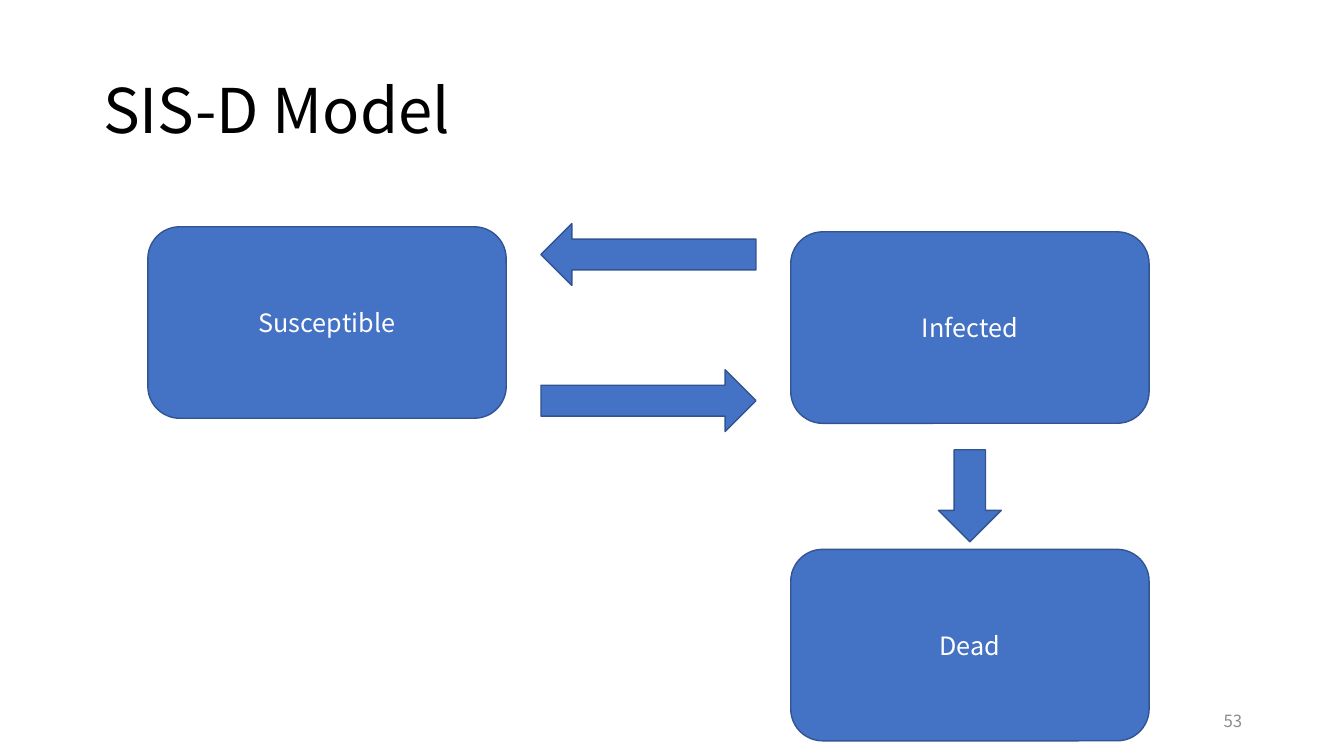
from dataclasses import dataclass

from pptx import Presentation
from pptx.dml.color import RGBColor
from pptx.enum.shapes import MSO_SHAPE
from pptx.enum.text import MSO_ANCHOR, PP_ALIGN
from pptx.util import Inches, Pt


@dataclass(frozen=True)
class Theme:
    font: str = "Noto Sans CJK JP"
    fill: RGBColor = RGBColor(0x44, 0x72, 0xC4)
    outline: RGBColor = RGBColor(0x32, 0x54, 0x91)
    title: RGBColor = RGBColor(0, 0, 0)
    label: RGBColor = RGBColor(0xFF, 0xFF, 0xFF)
    number: RGBColor = RGBColor(0x8C, 0x8C, 0x8C)
    title_size: int = 44
    label_size: int = 18
    number_size: int = 12
    outline_width: int = 1


@dataclass(frozen=True)
class Box:
    """An area measured in columns and rows of the slide grid."""
    left: float
    top: float
    width: float
    height: float

    @property
    def right(self):
        return self.left + self.width

    @property
    def bottom(self):
        return self.top + self.height

    @property
    def lengths(self):
        return (round(self.left * COLUMN), round(self.top * ROW),
                round(self.width * COLUMN), round(self.height * ROW))


THEME = Theme()
SLIDE_WIDTH, SLIDE_HEIGHT = Inches(13.33), Inches(7.5)
COLUMN, ROW = SLIDE_WIDTH / 12, SLIDE_HEIGHT / 12
STATE_WIDTH, STATE_HEIGHT = 3.2, 3.04


def write(shape, text, size, color, align):
    frame = shape.text_frame
    frame.text = text
    frame.word_wrap = True
    frame.vertical_anchor = MSO_ANCHOR.MIDDLE
    para = frame.paragraphs[0]
    para.alignment = align
    font = para.runs[0].font
    font.name, font.size, font.color.rgb = THEME.font, Pt(size), color
    return para


def add_block(page, preset, box):
    shape = page.shapes.add_shape(preset, *box.lengths)
    shape.shadow.inherit = False
    shape.fill.solid()
    shape.fill.fore_color.rgb = THEME.fill
    shape.line.color.rgb = THEME.outline
    shape.line.width = Pt(THEME.outline_width)
    return shape


def add_state(page, name, box):
    shape = add_block(page, MSO_SHAPE.ROUNDED_RECTANGLE, box)
    write(shape, name, THEME.label_size, THEME.label, PP_ALIGN.CENTER)


def add_title(page, text, box):
    title = page.shapes.title
    title.left, title.top, title.width, title.height = box.lengths
    para = write(title, text, THEME.title_size, THEME.title, PP_ALIGN.LEFT)
    para.line_spacing = 0.9


def add_page_number(page, number, box):
    shape = page.shapes.add_textbox(*box.lengths)
    write(shape, number, THEME.number_size, THEME.number, PP_ALIGN.RIGHT)


def add_exchange(page, source, target):
    """Draw the arrows there and back in the gap between two states."""
    gap, height = 0.31, 0.98
    left = source.right + gap
    width = target.left - gap - left
    for top, rotation in ((source.top - 0.05, 180), (source.top + 2.27, 0)):
        arrow = add_block(page, MSO_SHAPE.RIGHT_ARROW, Box(left, top, width, height))
        arrow.rotation = rotation


def add_descent(page, source, target):
    """Draw the arrow from a state down to the one below it."""
    width, gap_above, gap_below = 0.56, 0.42, 0.12
    top = source.bottom + gap_above
    left = source.left + (source.width - width) / 2
    add_block(page, MSO_SHAPE.DOWN_ARROW,
              Box(left, top, width, target.top - gap_below - top))


def add_model(page, box):
    """Place the three states and the transitions between them."""
    right_column = box.right - STATE_WIDTH
    susceptible = Box(box.left, box.top, STATE_WIDTH, STATE_HEIGHT)
    infected = Box(right_column, box.top + 0.08, STATE_WIDTH, STATE_HEIGHT)
    dead = Box(right_column, box.bottom - STATE_HEIGHT, STATE_WIDTH, STATE_HEIGHT)
    states = {"Susceptible": susceptible, "Infected": infected, "Dead": dead}
    for name, area in states.items():
        add_state(page, name, area)
    add_exchange(page, susceptible, infected)
    add_descent(page, infected, dead)


def main():
    deck = Presentation()
    deck.slide_width, deck.slide_height = SLIDE_WIDTH, SLIDE_HEIGHT
    page = deck.slides.add_slide(deck.slide_layouts.get_by_name("Title Only"))
    add_title(page, "SIS-D Model", Box(0.83, 0.64, 10.35, 2.32))
    add_page_number(page, "53", Box(8.48, 11.12, 2.7, 0.64))
    add_model(page, Box(1.32, 3.6, 8.94, 8.16))
    deck.save("out.pptx")


if __name__ == "__main__":
    main()
